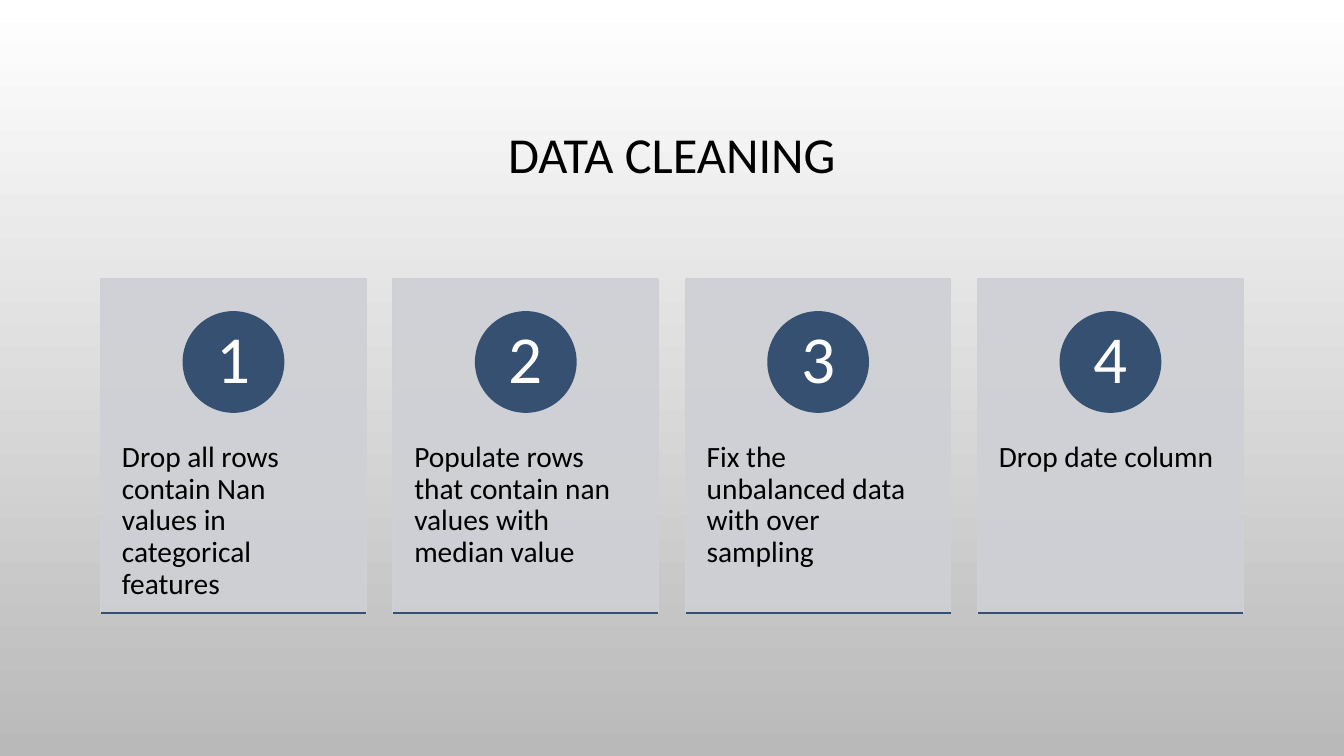
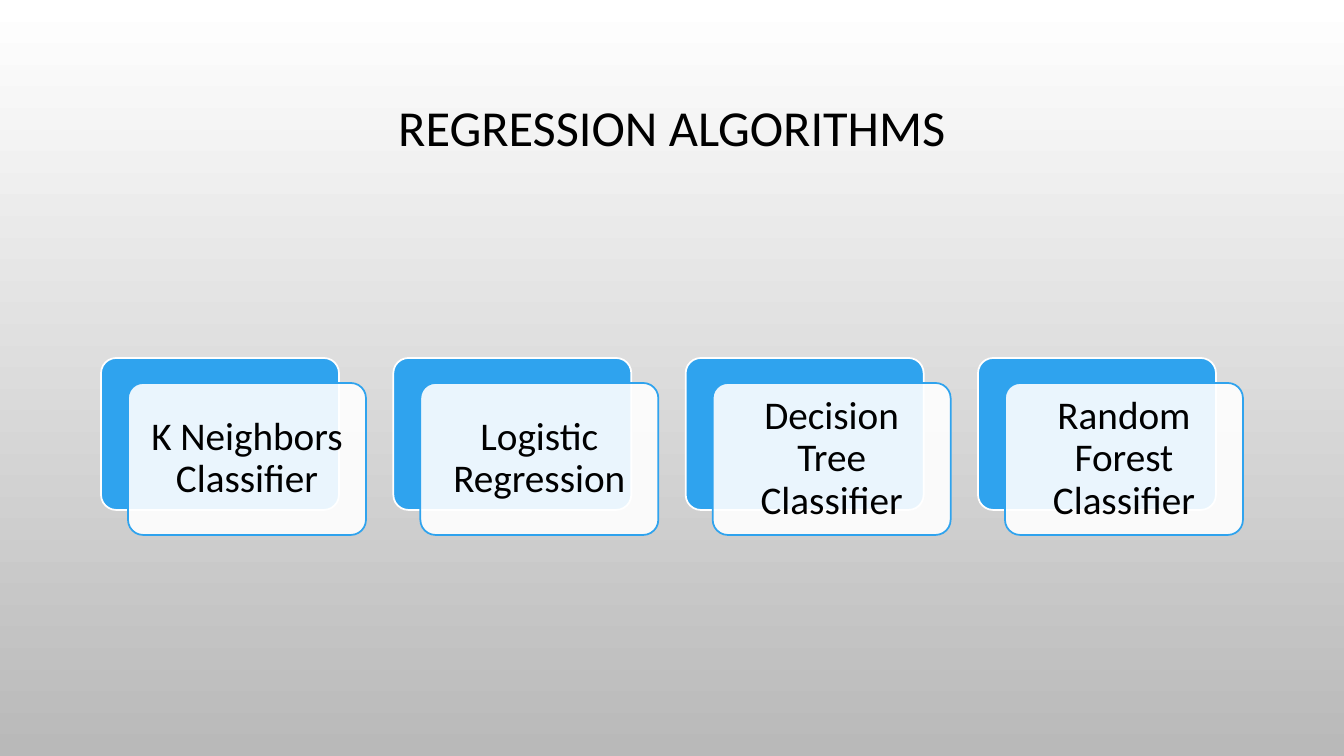
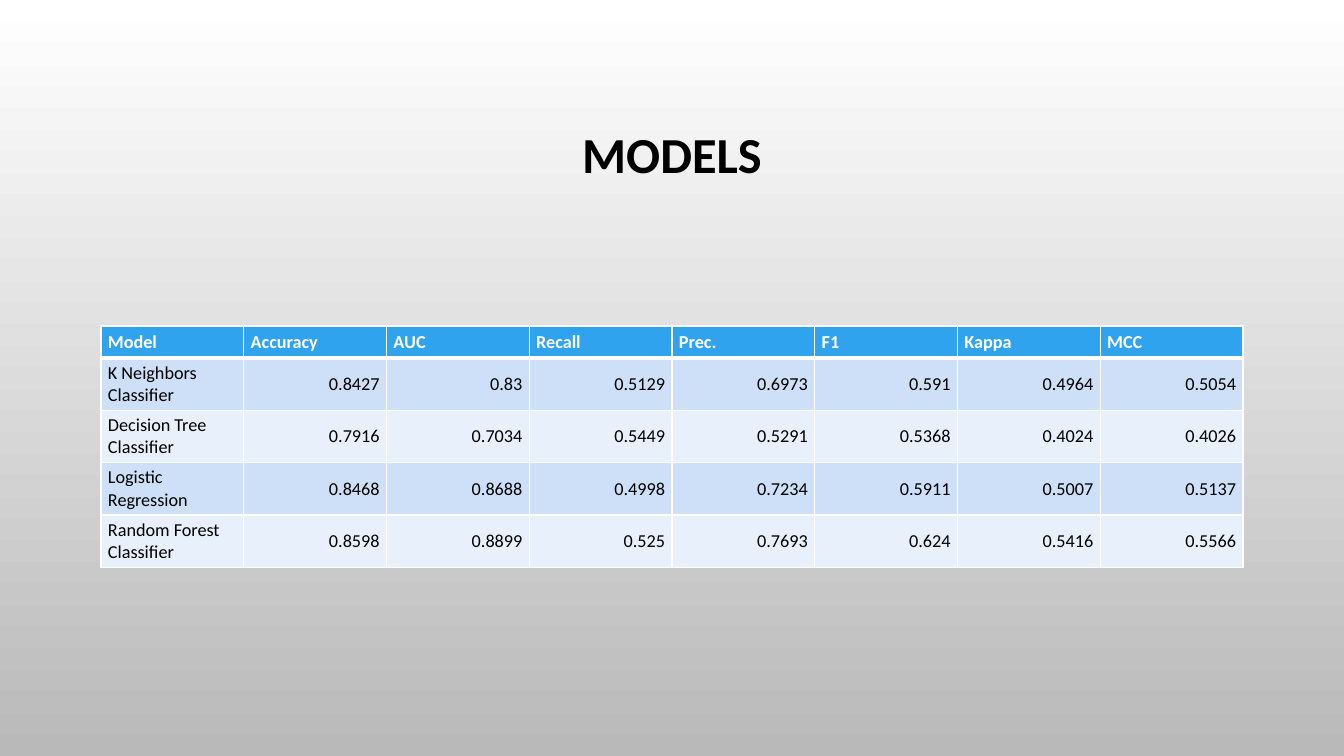
"""Build three slides on data cleaning, algorithms and model scores."""
from lxml.etree import SubElement
from pptx import Presentation
from pptx.dml.color import RGBColor
from pptx.enum.shapes import MSO_CONNECTOR as Link, MSO_SHAPE as Kind
from pptx.enum.text import MSO_ANCHOR as Anchor, PP_ALIGN as Align
from pptx.oxml.ns import qn
from pptx.util import Pt

WHITE = RGBColor(0xFF, 0xFF, 0xFF)
BLACK = RGBColor(0x00, 0x00, 0x00)
GREY = RGBColor(0xB9, 0xB9, 0xB9)
PALE = RGBColor(0xCE, 0xD0, 0xD5)
NAVY = RGBColor(0x35, 0x50, 0x71)
BLUE = RGBColor(0x2F, 0xA3, 0xEE)
BANDS = [RGBColor(0xCD, 0xE0, 0xF8), RGBColor(0xE8, 0xF0, 0xFC)]
FONT = "Calibri"
WIDE, HIGH = 1344, 756
LEFT, SPAN = 101, 1142
CARD = 265

STEPS = [
    "Drop all rows contain Nan values in categorical features",
    "Populate rows that contain nan values with median value",
    "Fix the unbalanced data with over sampling",
    "Drop date column",
]
METHODS = [
    "K Neighbors Classifier",
    "Logistic Regression",
    "Decision Tree Classifier",
    "Random Forest Classifier",
]
SCORES = [
    ("Model", "Accuracy", "AUC", "Recall", "Prec.", "F1", "Kappa", "MCC"),
    ("K Neighbors Classifier", "0.8427", "0.83", "0.5129", "0.6973", "0.591", "0.4964", "0.5054"),
    ("Decision Tree Classifier", "0.7916", "0.7034", "0.5449", "0.5291", "0.5368", "0.4024", "0.4026"),
    ("Logistic Regression", "0.8468", "0.8688", "0.4998", "0.7234", "0.5911", "0.5007", "0.5137"),
    ("Random Forest Classifier", "0.8598", "0.8899", "0.525", "0.7693", "0.624", "0.5416", "0.5566"),
]


def px(*vals):
    return [round(v * 12192000 / WIDE) for v in vals]


def lefts(count):
    step = (SPAN - CARD) / (count - 1)
    return [LEFT + i * step for i in range(count)]


def style(frame, text, size, color, align, bold=False, space=0.9):
    frame.text = text
    para = frame.paragraphs[0]
    para.alignment, para.line_spacing = align, space
    font = para.runs[0].font
    font.name, font.size, font.bold = FONT, Pt(size), bold
    font.color.rgb = color


def pad(frame, left, top, right, bottom):
    (frame.margin_left, frame.margin_top,
     frame.margin_right, frame.margin_bottom) = px(left, top, right, bottom)


def write(shape, text, size, color, align, anchor, inset):
    frame = shape.text_frame
    frame.word_wrap, frame.vertical_anchor = True, anchor
    pad(frame, *inset)
    style(frame, text, size, color, align)


def box(slide, kind, spot, fill, edge, alpha=100):
    shape = slide.shapes.add_shape(kind, *px(*spot))
    shape.shadow.inherit = False
    shape.fill.solid()
    shape.fill.fore_color.rgb = fill
    if alpha < 100:
        tint = next(shape.element.spPr.iter(qn("a:srgbClr")))
        SubElement(tint, qn("a:alpha"), val=str(alpha * 1000))
    shape.line.color.rgb = edge
    shape.line.width = Pt(1.25)
    if kind == Kind.ROUNDED_RECTANGLE:
        shape.adjustments[0] = 0.1
    return shape


def rule(slide, left, y, wide):
    line = slide.shapes.add_connector(Link.STRAIGHT, *px(left, y, left + wide, y))
    line.line.color.rgb = NAVY
    line.line.width = Pt(1.25)
    SubElement(line.element.spPr, qn("a:effectLst"))


def border(cell, top, base):
    props = cell._tc.get_or_add_tcPr()
    for side, width in zip("LRTB", (1, 1, top, base)):
        line = SubElement(props, qn(f"a:ln{side}"), w=str(Pt(width)))
        fill = SubElement(line, qn("a:solidFill"))
        SubElement(fill, qn("a:srgbClr"), val=str(WHITE))


def start(deck, text, bold=False, lift=0):
    slide = deck.slides.add_slide(deck.slide_layouts[5])
    title = slide.shapes.title
    title.left, title.top, title.width, title.height = px(LEFT, 69, SPAN, 176)
    frame = title.text_frame
    frame.word_wrap, frame.vertical_anchor = True, Anchor.MIDDLE
    pad(frame, 10, 5, 10, 5 + lift)
    style(frame, text, 36, BLACK, Align.CENTER, bold)
    return slide


def cleaning(deck):
    slide = start(deck, "DATA CLEANING")
    top, tall, disc = 279, 334, 100
    for num, (left, step) in enumerate(zip(lefts(len(STEPS)), STEPS), 1):
        card = box(slide, Kind.RECTANGLE, (left, top, CARD, tall), PALE, PALE, 90)
        write(card, step, 21, BLACK, Align.LEFT, Anchor.TOP, (21, 163, 21, 0))
        spot = (left + (CARD - disc) / 2, top + 33, disc, disc)
        badge = box(slide, Kind.OVAL, spot, NAVY, NAVY)
        write(badge, str(num), 48, WHITE, Align.CENTER, Anchor.MIDDLE, (8, 1, 8, 1))
        rule(slide, left, top + tall, CARD)


def methods(deck):
    slide = start(deck, "REGRESSION ALGORITHMS", lift=54)
    top, tall, drop, shift = 358, 152, 25, 27
    wide = CARD - shift
    for left, name in zip(lefts(len(METHODS)), METHODS):
        box(slide, Kind.ROUNDED_RECTANGLE, (left, top, wide, tall), BLUE, WHITE)
        spot = (left + shift, top + drop, wide, tall)
        front = box(slide, Kind.ROUNDED_RECTANGLE, spot, WHITE, BLUE, 90)
        write(front, name, 28, BLACK, Align.CENTER, Anchor.MIDDLE, (12,) * 4)


def models(deck):
    slide = start(deck, "MODELS", bold=True)
    head, body = 32, 52
    rows, cols = len(SCORES), len(SCORES[0])
    spot = px(LEFT, 326, SPAN, head + body * (rows - 1))
    table = slide.shapes.add_table(rows, cols, *spot).table
    for col in table.columns:
        col.width = px(SPAN / cols)[0]
    for r, row in enumerate(SCORES):
        table.rows[r].height = px(body if r else head)[0]
        for c, text in enumerate(row):
            cell = table.cell(r, c)
            border(cell, 3 if r == 1 else 1, 1 if r else 3)
            cell.fill.solid()
            cell.fill.fore_color.rgb = BANDS[(r - 1) % 2] if r else BLUE
            cell.vertical_anchor = Anchor.MIDDLE
            pad(cell, 7, 4, 7, 4)
            align = Align.RIGHT if r and c else Align.LEFT
            style(cell.text_frame, text, 13, BLACK if r else WHITE, align, not r, 1.0)


def main():
    deck = Presentation()
    deck.slide_width, deck.slide_height = px(WIDE, HIGH)
    fill = deck.slide_master.background.fill
    fill.gradient()
    fill.gradient_angle = 270
    for stop, color in zip(fill.gradient_stops, (WHITE, GREY)):
        stop.color.rgb = color
    for build in (cleaning, methods, models):
        build(deck)
    deck.save("out.pptx")


if __name__ == "__main__":
    main()
